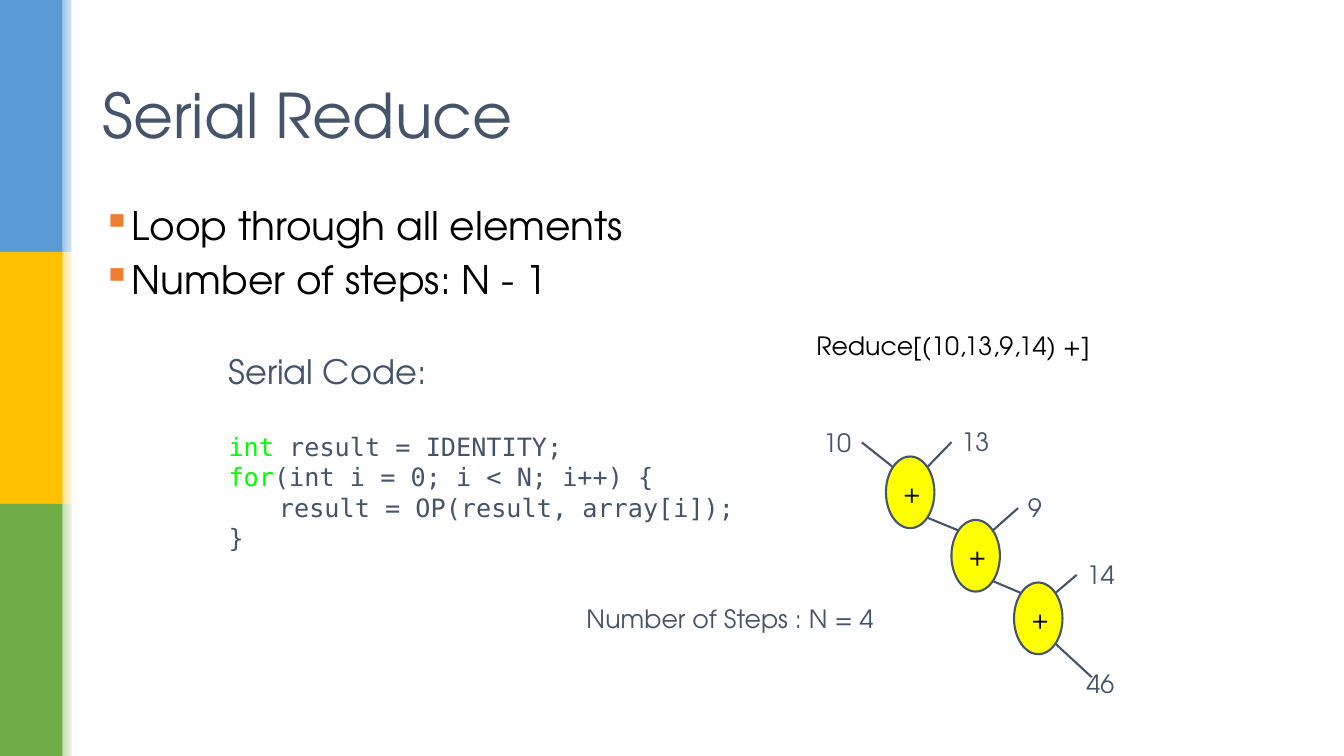
from lxml import etree
from pptx import Presentation
from pptx.dml.color import RGBColor
from pptx.enum import shapes, text
from pptx.oxml import ns
from pptx.util import Pt

HEX = {"ink": "44546A", "black": "000000", "white": "FFFFFF", "key": "00FF00",
       "mark": "ED7D31", "node": "FFFF00"}
BARS = [("5B9BD5", "9DC3E6"), ("FFC000", "FFE699"), ("70AD47", "C5E0B4")]
SANS, MONO = "TeX Gyre Adventor", "DejaVu Sans Mono"
KIND = shapes.MSO_SHAPE


def rgb(name):
    return RGBColor.from_string(HEX.get(name, name))


def style(font, size, color="ink", face=SANS):
    font.size, font.name = Pt(size), face
    font.color.rgb = rgb(color)


def shape(slide, kind, x, y, w, h, fill):
    item = slide.shapes.add_shape(kind, Pt(x), Pt(y), Pt(w), Pt(h))
    item.shadow.inherit = False
    item.line.fill.background()
    item.fill.solid()
    item.fill.fore_color.rgb = rgb(fill)
    return item


def pad(frame, left, top, right):
    frame.word_wrap = True
    frame.margin_left, frame.margin_right = Pt(left), Pt(right)
    frame.margin_top = frame.margin_bottom = Pt(top)


def label(slide, x, y, w, h, words, size=18, color="ink", left=7.2, top=7.2):
    frame = slide.shapes.add_textbox(Pt(x), Pt(y), Pt(w), Pt(h)).text_frame
    pad(frame, left, top, 0)
    frame.text = words
    for para in frame.paragraphs:
        style(para.font, size, color)
    return frame


def line(slide, start, end):
    item = slide.shapes.add_connector(
        shapes.MSO_CONNECTOR.STRAIGHT, *map(Pt, start), *map(Pt, end))
    item.line.color.rgb = rgb("ink")
    item.line.width = Pt(1.5)
    etree.SubElement(item._element.spPr, ns.qn("a:effectLst"))


def stripe(slide, x, y, w, h):
    """Side band: solid bars, each with a fading edge."""
    step, edge = h / len(BARS), 11.5
    for i, (solid, pale) in enumerate(BARS):
        top = y + i * step
        shape(slide, KIND.RECTANGLE, x, top, w - edge, step, solid)
        fade = shape(slide, KIND.RECTANGLE, x + w - edge, top, edge, step, pale)
        fade.fill.gradient()
        fade.fill.gradient_angle = 0
        for stop, color, place in zip(fade.fill.gradient_stops, (pale, "white"), (0, 1)):
            stop.color.rgb = rgb(color)
            stop.position = place
    shape(slide, KIND.RECTANGLE, x + w - 5, y, 3.6, h, "white")


def heading(slide, x, y, w, h):
    title = slide.shapes.title
    title.left, title.top, title.width, title.height = map(Pt, (x, y, w, h))
    frame = title.text_frame
    frame.text = "Serial Reduce"
    frame.vertical_anchor = text.MSO_ANCHOR.MIDDLE
    para = frame.paragraphs[0]
    para.alignment = text.PP_ALIGN.LEFT
    style(para.font, 44)


def bullets(slide, x, y, w, h):
    words = "Loop through all elements\nNumber of steps: N - 1"
    frame = label(slide, x, y, w, h, words, 28, "black", top=3.6)
    for para in frame.paragraphs:
        para.line_spacing, para.space_before = 0.9, Pt(8.4)
        props = para._p.get_or_add_pPr()
        props.set("marL", str(Pt(18)))
        props.set("indent", str(Pt(-18)))
        color = etree.Element(ns.qn("a:buClr"))
        etree.SubElement(color, ns.qn("a:srgbClr"), val=HEX["mark"])
        char = etree.Element(ns.qn("a:buChar"), char="▪")
        at = props.index(props.find(ns.qn("a:defRPr")))
        props[at:at] = [color, char]


def code(slide, x, y, w, h):
    frame = label(slide, x, y, w, h, "Serial Code:", 24)
    frame.paragraphs[0].space_after = Pt(28.8)
    rows = [("int", " result = IDENTITY;", 0),
            ("for", "(int i = 0; i < N; i++) {", 0),
            ("", "result = OP(result, array[i]);", 36),
            ("", "}", 0)]
    for key, rest, indent in rows:
        para = frame.add_paragraph()
        para.line_spacing = Pt(21.6)
        para._p.get_or_add_pPr().set("indent", str(Pt(indent)))
        for words, color in ((key, "key"), (rest, "ink")):
            if words:
                run = para.add_run()
                run.text = words
                style(run.font, 18, color, MONO)


def tree(slide, x, y, w, h):
    """Chain of sums: each node takes the last result and one new value."""
    wide, high, half = 34.6, 51.2, 18.4
    inx, iny = 5, 7.5  # where lines meet an ellipse
    nodes = [(51.8, 28.1, "13", 17.3, 17.8),
             (98.6, 73.4, "9", 18, 16),
             (143.3, 118.1, "14", 15.2, 13)]
    last = (x + 34.6, y + 18)
    label(slide, x, y, 34.6, 36, "10")
    for dx, dy, value, run, rise in nodes:
        left, top = x + dx, y + dy
        right, low = left + wide - inx, top + high - iny
        node = shape(slide, KIND.OVAL, left, top, wide, high, "node")
        node.line.color.rgb = rgb("ink")
        node.line.width = Pt(1.5)
        frame = node.text_frame
        pad(frame, 7.2, 7.2, 0)
        frame.vertical_anchor = text.MSO_ANCHOR.MIDDLE
        frame.text = "+"
        frame.paragraphs[0].alignment = text.PP_ALIGN.LEFT
        style(frame.paragraphs[0].font, 18, "black")
        line(slide, last, (left + inx, top + iny))
        tip = (right + run, top + iny - rise)
        line(slide, (right, top + iny), tip)
        label(slide, tip[0], tip[1] - half, 36, 36, value)
        last = (right, low)
    line(slide, last, (x + w - 24, y + h - 22.3))
    label(slide, x + w - 34.9, y + h - 36, 34.9, 36, "46")


def main():
    deck = Presentation()
    deck.slide_width, deck.slide_height = Pt(960), Pt(540)
    slide = deck.slides.add_slide(deck.slide_layouts[5])
    stripe(slide, 0, 0, 56.2, 540)
    heading(slide, 66, 28.8, 828, 104.4)
    bullets(slide, 66, 144, 828, 342.7)
    tree(slide, 581, 298, 222.8, 208)
    code(slide, 156.2, 243.4, 390, 160)
    label(slide, 411.8, 424.1, 262, 36, "Number of Steps : N = 4")
    label(slide, 576, 232.6, 217.4, 28.8, "Reduce[(10,13,9,14) +]", color="black", top=3.6)
    deck.save("out.pptx")


if __name__ == "__main__":
    main()
